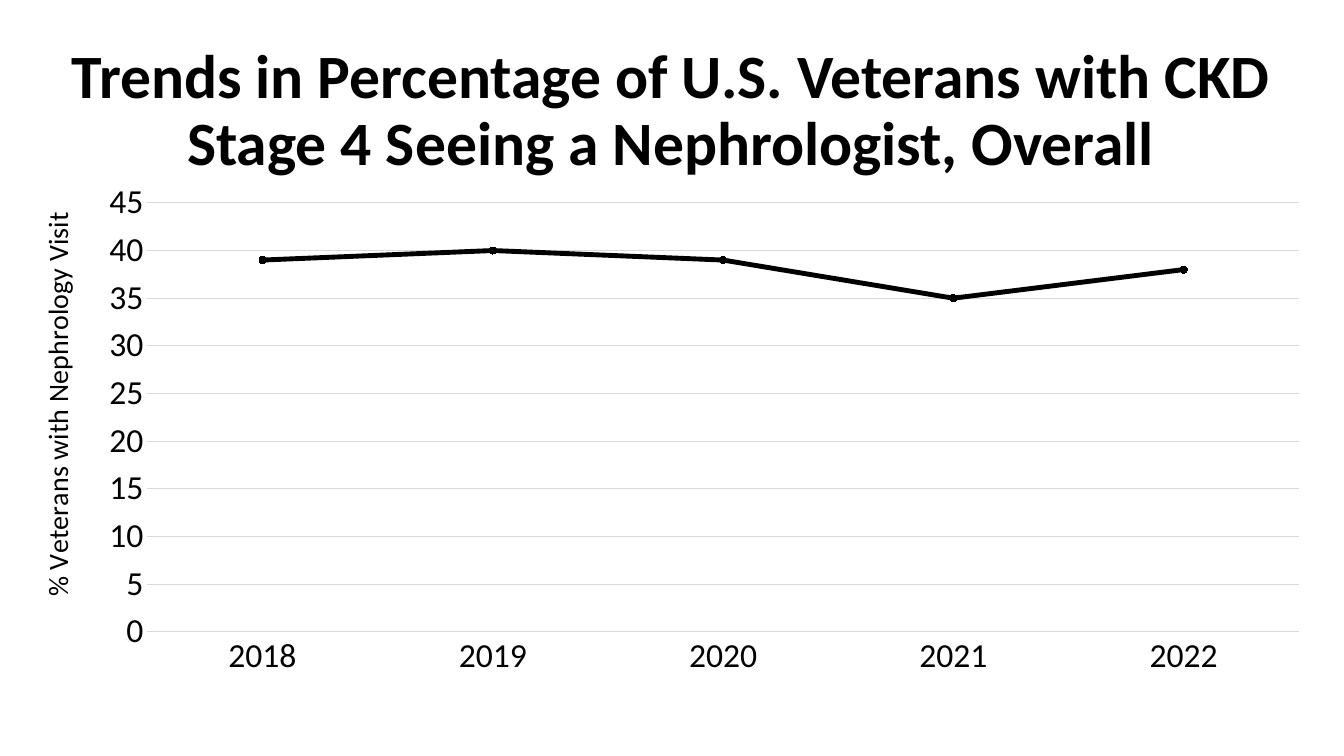
from lxml.etree import SubElement
from pptx import Presentation
from pptx.chart.data import CategoryChartData
from pptx.dml.color import RGBColor
from pptx.enum.chart import XL_CHART_TYPE as ChartType, XL_MARKER_STYLE as Marker, XL_TICK_MARK as Tick
from pptx.enum.text import MSO_ANCHOR as Anchor, MSO_AUTO_SIZE as AutoSize, PP_ALIGN as Align
from pptx.oxml.ns import qn
from pptx.util import Emu, Pt

TITLE = "Trends in Percentage of U.S. Veterans with CKD Stage 4 Seeing a Nephrologist, Overall"
AXIS_TITLE = "% Veterans with Nephrology Visit"
VISITS = {"2018": 39, "2019": 40, "2020": 39, "2021": 35, "2022": 38}
FONT, BLACK, GRID = "Calibri", "000000", "D9D9D9"
PAGE_SIZE = (1344, 756)
TITLE_BOX = (26, 39, 1291, 146)
CHART_BOX = (18, 172, 1307, 515)
PLOT_BOX = (148, 203, 1152, 429)
AXIS_TITLE_AT = (33, 207)


def px(length):
    return Emu(round(length * 914400 / 100.8))


def color(value):
    return RGBColor.from_string(value)


def style(font, size, bold=False):
    font.name, font.size, font.bold = FONT, Pt(size), bold
    font.color.rgb = color(BLACK)


def rule(line, value, width):
    line.color.rgb = color(value)
    line.width = Pt(width)


def set_layout(parent, box, inner=False):
    """Place a chart part at a page position, as shares of the chart frame."""
    for old in parent.findall(qn("c:layout")):
        parent.remove(old)
    layout = parent.makeelement(qn("c:layout"), {})
    manual = SubElement(layout, qn("c:manualLayout"))
    left, top, width, height = CHART_BOX
    shares = [(box[0] - left) / width, (box[1] - top) / height]
    shares += [side / whole for side, whole in zip(box[2:], (width, height))]
    if inner:
        SubElement(manual, qn("c:layoutTarget"), val="inner")
    for name in ("xMode", "yMode"):
        SubElement(manual, qn(f"c:{name}"), val="edge")
    for name, share in zip("xywh", shares):
        SubElement(manual, qn(f"c:{name}"), val=f"{share:.3f}")
    text = parent.find(qn("c:tx"))
    parent.insert(0 if text is None else 1, layout)


def add_title(page):
    title = page.shapes.title
    title.left, title.top, title.width, title.height = map(px, TITLE_BOX)
    frame = title.text_frame
    frame.word_wrap, frame.auto_size = True, AutoSize.NONE
    frame.vertical_anchor = Anchor.MIDDLE
    para = frame.paragraphs[0]
    para.alignment, para.line_spacing = Align.CENTER, 0.9
    span = para.add_run()
    span.text = TITLE
    style(span.font, 44, True)


def add_trend(page):
    data = CategoryChartData()
    data.categories = list(VISITS)
    data.add_series("Series 1", list(VISITS.values()))
    chart = page.shapes.add_chart(ChartType.LINE_MARKERS, *map(px, CHART_BOX), data).chart
    chart.has_legend = chart.has_title = False
    style(chart.font, 10)
    years, percent = chart.category_axis, chart.value_axis
    for axis in (years, percent):
        axis.major_tick_mark = axis.minor_tick_mark = Tick.NONE
        style(axis.tick_labels.font, 24)
    rule(years.format.line, GRID, 0.75)
    percent.format.line.fill.background()
    percent.minimum_scale, percent.maximum_scale, percent.major_unit = 0, 45, 5
    percent.has_major_gridlines = True
    rule(percent.major_gridlines.format.line, GRID, 0.75)
    span = percent.axis_title.text_frame.paragraphs[0].add_run()
    span.text = AXIS_TITLE
    style(span.font, 20)
    body = percent.axis_title.text_frame._txBody.bodyPr
    body.set("rot", "-5400000")
    body.set("vert", "horz")
    set_layout(percent.axis_title._element, AXIS_TITLE_AT)
    plot = chart.plots[0]
    plot.vary_by_categories = False
    set_layout(chart._chartSpace.chart.plotArea, PLOT_BOX, inner=True)
    trend = plot.series[0]
    trend.smooth = False
    rule(trend.format.line, BLACK, 3.5)
    trend.marker.style, trend.marker.size = Marker.CIRCLE, 5
    trend.marker.format.fill.solid()
    trend.marker.format.fill.fore_color.rgb = color(BLACK)
    rule(trend.marker.format.line, BLACK, 0.75)


def main():
    deck = Presentation()
    deck.slide_width, deck.slide_height = map(px, PAGE_SIZE)
    page = deck.slides.add_slide(deck.slide_layouts[5])
    add_title(page)
    add_trend(page)
    deck.save("out.pptx")


if __name__ == "__main__":
    main()
